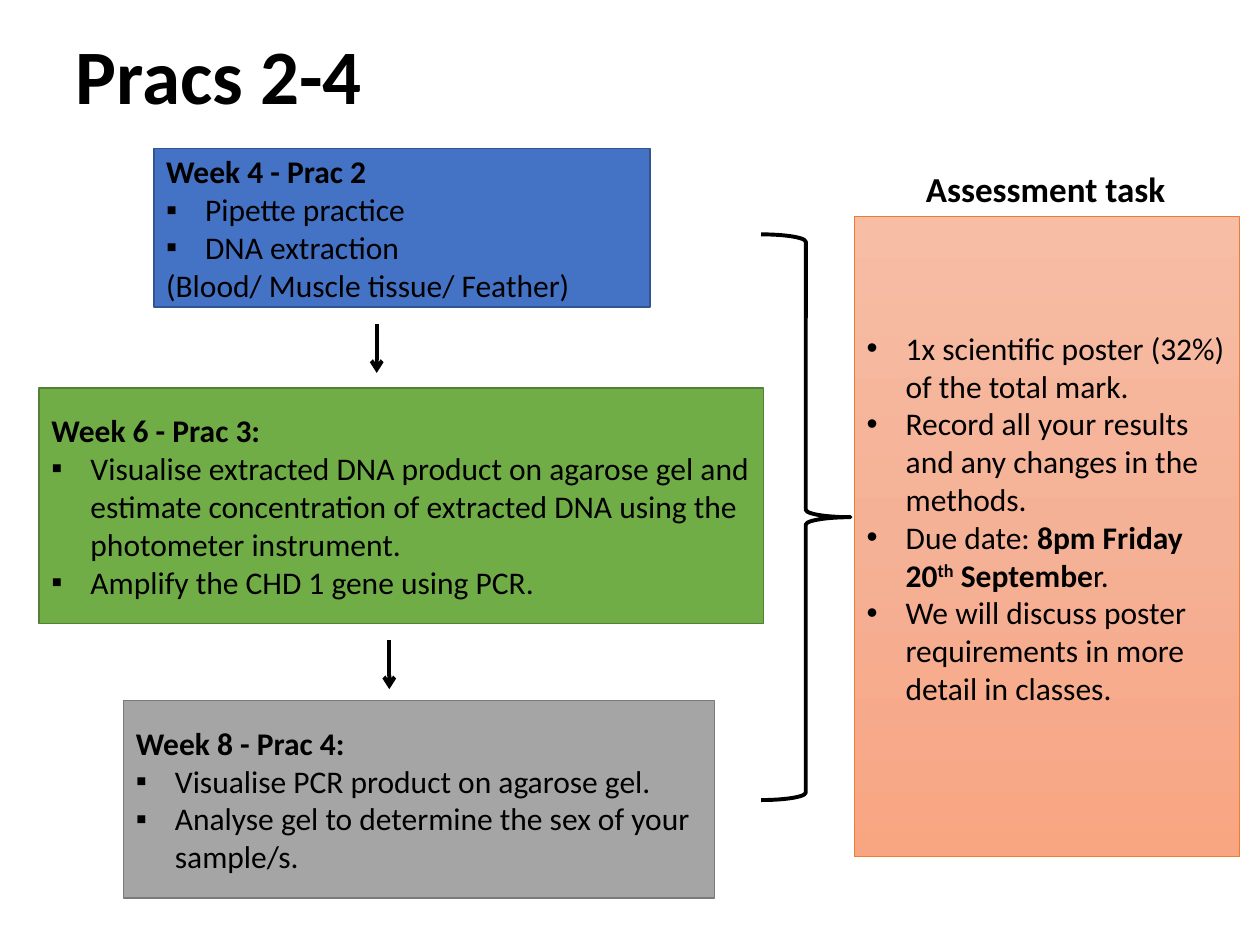
import collections
import copy

import lxml.etree
import pptx
import pptx.dml.color
import pptx.enum.shapes
import pptx.enum.text
import pptx.oxml.ns
import pptx.util

Box = collections.namedtuple("Box", "column row columns rows")
Step = collections.namedtuple("Step", "box fill line lines arrow_column")

COLUMNS, ROWS = 100, 75
WIDTH, HEIGHT = pptx.util.Inches(10), pptx.util.Inches(7.5)
FONT = "Calibri"
COLORS = {
    "black": "000000",
    "blue": "4472C4", "blue edge": "325491",
    "green": "70AD47", "green edge": "538035",
    "grey": "A5A5A5", "grey edge": "7A7A7A",
    "peach top": "F7BDA5", "peach middle": "F5B196", "peach bottom": "F8A582",
    "orange": "ED7D31",
}
SHAPES = pptx.enum.shapes.MSO_SHAPE
ANCHOR = pptx.enum.text.MSO_ANCHOR
ALIGN = pptx.enum.text.PP_ALIGN
qn = pptx.oxml.ns.qn

STEPS = [
    Step(Box(9.1, 0, 39.4, 12.6), "blue", "blue edge", [
        ("Week 4 - Prac 2", {"bold": True}),
        ("Pipette practice", {"bullet": "▪"}),
        ("DNA extraction", {"bullet": "▪"}),
        ("(Blood/ Muscle tissue/ Feather)", {}),
    ], 26.8),
    Step(Box(0, 19, 57.5, 18.7), "green", "green edge", [
        ("Week 6 - Prac 3:", {"bold": True}),
        ("Visualise extracted DNA product on agarose gel and estimate concentration "
         "of extracted DNA using the photometer instrument.", {"bullet": "▪"}),
        ("Amplify the CHD 1 gene using PCR.", {"bullet": "▪"}),
    ], 27.8),
    Step(Box(6.7, 43.8, 46.9, 15.7), "grey", "grey edge", [
        ("Week 8 - Prac 4:", {"bold": True}),
        ("Visualise PCR product on agarose gel.", {"bullet": "▪"}),
        ("Analyse gel to determine the sex of your sample/s.", {"bullet": "▪"}),
    ], None),
]

TASKS = [
    "1x scientific poster (32%) of the total mark.",
    "Record all your results and any changes in the methods.",
    [("Due date: ", {}), ("8pm Friday 20", {"bold": True}),
     ("th", {"bold": True, "raised": True}), (" Septembe", {"bold": True}), ("r.", {})],
    "We will discuss poster requirements in more detail in classes.",
]


def color(name):
    return pptx.dml.color.RGBColor.from_string(COLORS[name])


def across(columns):
    return round(WIDTH * columns / COLUMNS)


def down(rows):
    return round(HEIGHT * rows / ROWS)


def within(region, box):
    return Box(region.column + box.column, region.row + box.row, box.columns, box.rows)


def measure(box):
    return across(box.column), down(box.row), across(box.columns), down(box.rows)


def write(para, text, size=18, bold=False, bullet=None, align=ALIGN.LEFT, spacing=None):
    para.alignment = align
    if spacing:
        para.line_spacing = spacing
    if bullet:
        properties = para._p.get_or_add_pPr()
        indent = pptx.util.Inches(0.31)
        properties.set("marL", str(indent))
        properties.set("indent", str(-indent))
        lxml.etree.SubElement(properties, qn("a:buFont"), typeface="Arial")
        lxml.etree.SubElement(properties, qn("a:buChar"), char=bullet)
    spans = [(text, {"bold": bold})] if isinstance(text, str) else text
    for words, style in spans:
        span = para.add_run()
        span.text = words
        span.font.name = FONT
        span.font.size = pptx.util.Pt(size)
        span.font.bold = style.get("bold", False)
        span.font.color.rgb = color("black")
        if style.get("raised"):
            span._r.get_or_add_rPr().set("baseline", "30000")


def write_lines(shape, lines):
    frame = shape.text_frame
    frame.word_wrap = True
    frame.vertical_anchor = ANCHOR.MIDDLE
    for index, (text, style) in enumerate(lines):
        para = frame.paragraphs[0] if index == 0 else frame.add_paragraph()
        write(para, text, **style)


def add_panel(page, box, line, width, kind=SHAPES.RECTANGLE):
    shape = page.shapes.add_shape(kind, *measure(box))
    shape.shadow.inherit = False
    shape.line.color.rgb = color(line)
    shape.line.width = pptx.util.Pt(width)
    return shape


def add_arrow(page, column, row, rows):
    arrow = page.shapes.add_connector(
        pptx.enum.shapes.MSO_CONNECTOR.STRAIGHT,
        across(column), down(row), across(column), down(row + rows))
    arrow.line.color.rgb = color("black")
    arrow.line.width = pptx.util.Pt(2.25)
    properties = arrow._element.spPr
    lxml.etree.SubElement(properties.find(qn("a:ln")), qn("a:tailEnd"), type="arrow")
    lxml.etree.SubElement(properties, qn("a:effectLst"))


def fill_gradient(shape, names):
    shape.fill.gradient()
    shape.fill.gradient_angle = 270
    stops = shape._element.spPr.find(qn("a:gradFill")).find(qn("a:gsLst"))
    stops.insert(1, copy.deepcopy(stops[0]))
    for index, (stop, name) in enumerate(zip(shape.fill.gradient_stops, names)):
        stop.position = index / (len(names) - 1)
        stop.color.rgb = color(name)


def add_title(page, region, text):
    title = page.shapes.title
    title.left, title.top, title.width, title.height = measure(region)
    title.text_frame.auto_size = pptx.enum.text.MSO_AUTO_SIZE.NONE
    title.text_frame.vertical_anchor = ANCHOR.MIDDLE
    write(title.text_frame.paragraphs[0], text, size=44, bold=True, spacing=0.9)


def add_steps(page, region):
    for step in STEPS:
        box = within(region, step.box)
        panel = add_panel(page, box, step.line, 1)
        panel.fill.solid()
        panel.fill.fore_color.rgb = color(step.fill)
        write_lines(panel, step.lines)
        if step.arrow_column:
            add_arrow(page, region.column + step.arrow_column, box.row + box.rows + 1.3, 3.9)


def add_assessment(page, region):
    brace_box = within(region, Box(0, 5.8, 7.1, 44.9))
    brace = add_panel(page, brace_box, "black", 2.25, SHAPES.RIGHT_BRACE)
    brace.fill.background()

    panel_box = within(region, Box(7.4, 4.4, 30.6, 50.8))
    panel = add_panel(page, panel_box, "orange", 0.5)
    fill_gradient(panel, ["peach top", "peach middle", "peach bottom"])
    write_lines(panel, [(task, {"bullet": "•"}) for task in TASKS])
    panel.text_frame.margin_bottom = pptx.util.Inches(0.35)

    heading_columns = 21.2
    heading_box = Box(panel_box.column + (panel_box.columns - heading_columns) / 2,
                      region.row, heading_columns, 4.4)
    heading = page.shapes.add_textbox(*measure(heading_box))
    heading.text_frame.word_wrap = False
    heading.text_frame.auto_size = pptx.enum.text.MSO_AUTO_SIZE.SHAPE_TO_FIT_TEXT
    write(heading.text_frame.paragraphs[0], "Assessment task", size=20, bold=True)


def main():
    deck = pptx.Presentation()
    deck.slide_width, deck.slide_height = WIDTH, HEIGHT
    page = deck.slides.add_slide(deck.slide_layouts[5])
    add_title(page, Box(5, 0.1, 90, 12.5), "Pracs 2-4")
    add_steps(page, Box(3.1, 11.8, 57.5, 59.5))
    add_assessment(page, Box(60.4, 12.8, 38, 55.2))
    deck.save("out.pptx")


if __name__ == "__main__":
    main()
